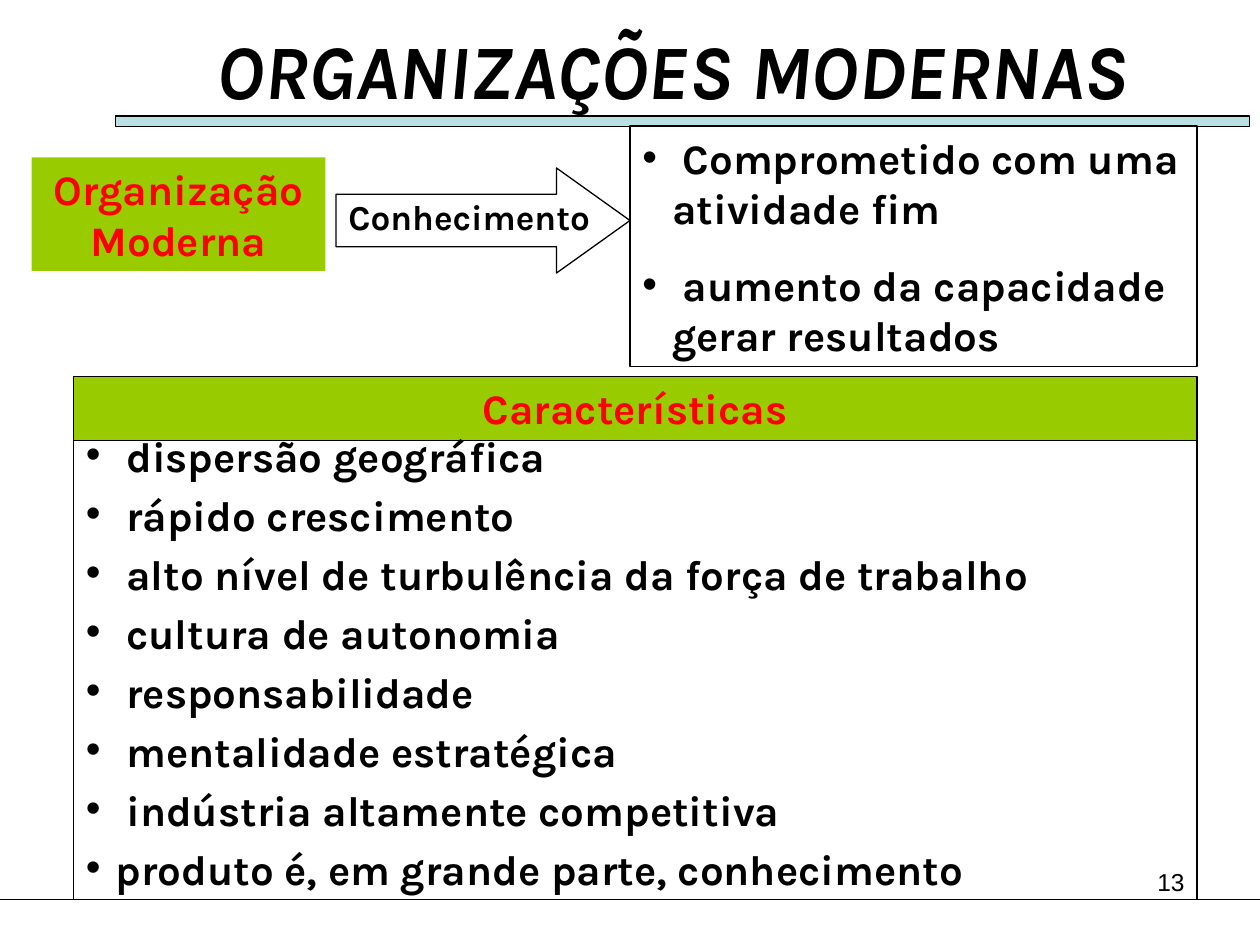
import dataclasses

import pptx
import pptx.dml.color
import pptx.enum.shapes
import pptx.enum.text
import pptx.oxml
import pptx.oxml.ns
import pptx.util

Pt = pptx.util.Pt
RGB = pptx.dml.color.RGBColor.from_string
SHAPES = pptx.enum.shapes.MSO_SHAPE
ALIGN = pptx.enum.text.PP_ALIGN
ANCHOR = pptx.enum.text.MSO_ANCHOR


@dataclasses.dataclass(frozen=True)
class Theme:
    ink: str = "000000"
    accent: str = "FF0000"
    band: str = "99CC00"
    rule: str = "BBE0E3"
    paper: str = "FFFFFF"
    font: str = "Karla"
    number_font: str = "Arial"
    title_size: float = 44
    body_size: float = 24
    label_size: float = 20
    number_size: float = 14
    line_width: float = 0.75
    paragraph_gap: float = 15
    bullet_indent: float = 17


THEME = Theme()
BODY = dict(size=Pt(THEME.body_size), name=THEME.font, bold=True)
TITLE = dict(BODY, size=Pt(THEME.title_size), italic=True)
LABEL = dict(BODY, size=Pt(THEME.label_size))
NUMBER = dict(size=Pt(THEME.number_size), name=THEME.number_font, bold=False)


def apply_format(target, values):
    for name, value in values.items():
        setattr(target, name, value)


def place(shape, box):
    names = ("left", "top", "width", "height")
    apply_format(shape, dict(zip(names, map(Pt, box))))


def add_bullet(para):
    properties = para._p.get_or_add_pPr()
    indent = Pt(THEME.bullet_indent)
    properties.set("marL", str(indent))
    properties.set("indent", str(-indent))
    namespace = pptx.oxml.ns.nsdecls("a")
    for xml in (
        f'<a:buClr {namespace}><a:srgbClr val="{THEME.ink}"/></a:buClr>',
        f'<a:buFont {namespace} typeface="Arial"/>',
        f'<a:buChar {namespace} char="•"/>',
    ):
        properties.append(pptx.oxml.parse_xml(xml))


def write(shape, lines, font, color=THEME.ink, align=ALIGN.LEFT, bullets=False, spacing=None):
    frame = shape.text_frame
    apply_format(frame, dict(
        word_wrap=True, vertical_anchor=ANCHOR.TOP,
        auto_size=pptx.enum.text.MSO_AUTO_SIZE.NONE,
        margin_left=Pt(7.2), margin_right=Pt(7.2),
        margin_top=Pt(3.6), margin_bottom=Pt(3.6),
    ))
    for index, line in enumerate(lines):
        para = frame.add_paragraph() if index else frame.paragraphs[0]
        apply_format(para, dict(
            alignment=align, line_spacing=spacing,
            space_before=Pt(THEME.paragraph_gap if index else 0),
        ))
        if bullets:
            add_bullet(para)
        span = para.add_run()
        span.text = line
        apply_format(span.font, font)
        span.font.color.rgb = RGB(color)


def add_panel(page, box, fill=None, outlined=True, kind=SHAPES.RECTANGLE):
    shape = page.shapes.add_shape(kind, *map(Pt, box))
    shape.shadow.inherit = False
    if fill:
        shape.fill.solid()
        shape.fill.fore_color.rgb = RGB(fill)
    else:
        shape.fill.background()
    if outlined:
        shape.line.color.rgb = RGB(THEME.ink)
        shape.line.width = Pt(THEME.line_width)
    else:
        shape.line.fill.background()
    return shape


def add_heading(page, box, title):
    """Title with a coloured rule beneath it."""
    left, top, width, height = box
    add_panel(page, (left + 8.5, top + 57, 648, 6), THEME.rule)
    place(page.shapes.title, box)
    write(page.shapes.title, [title], TITLE, align=ALIGN.CENTER)


def add_footer(page, box, number):
    """Full-width line with the page number at its right end."""
    left, top, width, height = box
    line = page.shapes.add_connector(
        pptx.enum.shapes.MSO_CONNECTOR.STRAIGHT, Pt(left), Pt(top), Pt(left + width), Pt(top))
    line.line.color.rgb = RGB(THEME.ink)
    line.line.width = Pt(THEME.line_width)
    line._element.spPr.append(
        pptx.oxml.parse_xml(f"<a:effectLst {pptx.oxml.ns.nsdecls('a')}/>"))
    number_box = page.shapes.add_textbox(
        Pt(left + width - 204), Pt(top - 22), Pt(168), Pt(height))
    write(number_box, [number], NUMBER, align=ALIGN.RIGHT)


def add_flow(page, box, source, label, results):
    """Source block, labelled arrow and list of results, left to right."""
    left, top, width, height = box
    block = add_panel(page, (left, top + 18, 168, 64.8), THEME.band, outlined=False)
    write(block, [source], BODY, THEME.accent, ALIGN.CENTER)

    list_left = left + width - 324
    panel = add_panel(page, (list_left, top, 324, height))
    write(panel, results, BODY, bullets=True)

    arrow_left = list_left - 168
    arrow = add_panel(page, (arrow_left, top + 24, 168, 60), THEME.paper,
                      kind=SHAPES.RIGHT_ARROW)
    arrow.adjustments[0], arrow.adjustments[1] = 0.5, 0.7
    caption = page.shapes.add_textbox(Pt(arrow_left), Pt(top + 36), Pt(168), Pt(32))
    write(caption, [label], LABEL)


def add_features(page, box, heading, features):
    """Heading band above a bulleted list."""
    left, top, width, height = box
    band_height = 36.5
    band = add_panel(page, (left, top, width, band_height), THEME.band)
    write(band, [heading], BODY, THEME.accent, ALIGN.CENTER)
    panel = add_panel(page, (left, top + band_height, width, height - band_height))
    write(panel, features, BODY, bullets=True, spacing=0.65)


def main():
    deck = pptx.Presentation()
    deck.slide_width, deck.slide_height = Pt(720), Pt(540)
    page = deck.slides.add_slide(deck.slide_layouts.get_by_name("Title Only"))

    add_heading(page, (57.5, 9.4, 654, 60.5), "ORGANIZAÇÕES MODERNAS")
    add_flow(page, (18, 72, 666, 137.5), "Organização Moderna", "Conhecimento", [
        " Comprometido com uma atividade fim",
        " aumento da capacidade gerar resultados",
    ])
    add_features(page, (42, 215.3, 642, 298.7), "Características", [
        " dispersão geográfica",
        " rápido crescimento",
        " alto nível de turbulência da força de trabalho",
        " cultura de autonomia",
        " responsabilidade",
        " mentalidade estratégica",
        " indústria altamente competitiva",
        "produto é, em grande parte, conhecimento",
    ])
    add_footer(page, (0, 514, 720, 37.5), "13")
    deck.save("out.pptx")


if __name__ == "__main__":
    main()
